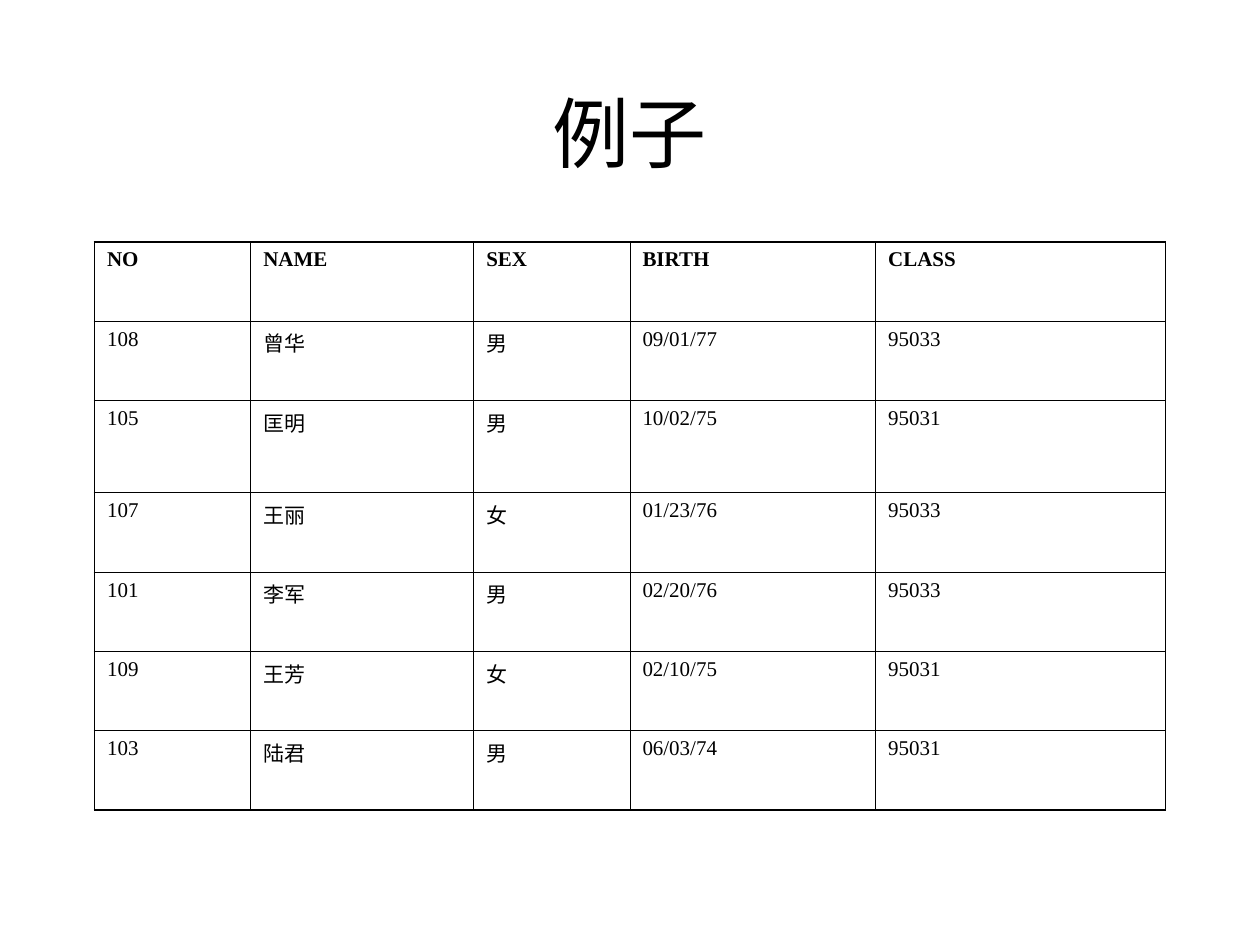
from dataclasses import dataclass
from typing import Any

from lxml import etree
from pptx import Presentation
from pptx import util as u
from pptx.dml.color import RGBColor
from pptx.enum import text
from pptx.oxml import ns

COLUMN_WIDTHS = [1.24, 1.77, 1.24, 1.95, 2.3]
ROW_HEIGHTS = [0.63, 0.63, 0.73, 0.63, 0.63, 0.63, 0.63]
STUDENTS = [
    ["NO", "NAME", "SEX", "BIRTH", "CLASS"],
    ["108", "曾华", "男", "09/01/77", "95033"],
    ["105", "匡明", "男", "10/02/75", "95031"],
    ["107", "王丽", "女", "01/23/76", "95033"],
    ["101", "李军", "男", "02/20/76", "95033"],
    ["109", "王芳", "女", "02/10/75", "95031"],
    ["103", "陆君", "男", "06/03/74", "95031"],
]


def color(value):
    return RGBColor.from_string(value)


@dataclass
class SlideBuilder:
    page: Any
    font: str = "Times New Roman"
    ink: str = "000000"
    outer_line: float = 1.08
    inner_line: float = 0.45

    def style(self, para, size, bold=False):
        para.font.name = self.font
        para.font.size = u.Pt(size)
        para.font.bold = bold
        para.font.color.rgb = color(self.ink)

    def title(self, words, left, top, width, height):
        box = self.page.shapes.title
        box.left, box.top = u.Inches(left), u.Inches(top)
        box.width, box.height = u.Inches(width), u.Inches(height)
        frame = box.text_frame
        frame.text = words
        frame.vertical_anchor = text.MSO_ANCHOR.MIDDLE
        para = frame.paragraphs[0]
        para.alignment = text.PP_ALIGN.CENTER
        self.style(para, 44)

    def borders(self, cell, outer_sides):
        properties = cell._tc.get_or_add_tcPr()
        for position, side in enumerate("LRTB"):
            width = self.outer_line if side in outer_sides else self.inner_line
            line = etree.Element(ns.qn(f"a:ln{side}"), w=str(u.Pt(width)))
            fill = etree.SubElement(line, ns.qn("a:solidFill"))
            etree.SubElement(fill, ns.qn("a:srgbClr"), val=self.ink)
            properties.insert(position, line)

    def table(self, rows, left, top, widths, heights):
        frame = self.page.shapes.add_table(
            len(rows), len(widths), u.Inches(left), u.Inches(top),
            u.Inches(sum(widths)), u.Inches(sum(heights)))
        grid = frame.table
        grid.first_row = grid.horz_banding = False
        for column, width in zip(grid.columns, widths):
            column.width = u.Inches(width)
        for row, height in zip(grid.rows, heights):
            row.height = u.Inches(height)
        last_row, last_column = len(rows) - 1, len(widths) - 1
        for r, values in enumerate(rows):
            for c, value in enumerate(values):
                cell = grid.cell(r, c)
                cell.text = value
                cell.fill.background()
                para = cell.text_frame.paragraphs[0]
                para.space_before = u.Pt(3)
                self.style(para, 12, bold=r == 0)
                edges = {"L": c == 0, "R": c == last_column,
                         "T": r == 0, "B": r == last_row}
                self.borders(cell, [side for side in edges if edges[side]])


def main():
    deck = Presentation()
    deck.slide_width, deck.slide_height = u.Inches(10), u.Inches(7.5)
    builder = SlideBuilder(deck.slides.add_slide(deck.slide_layouts[5]))
    builder.title("例子", 0.75, 0.42, 8.5, 1.25)
    builder.table(STUDENTS, 0.75, 1.92, COLUMN_WIDTHS, ROW_HEIGHTS)
    deck.save("out.pptx")


if __name__ == "__main__":
    main()
